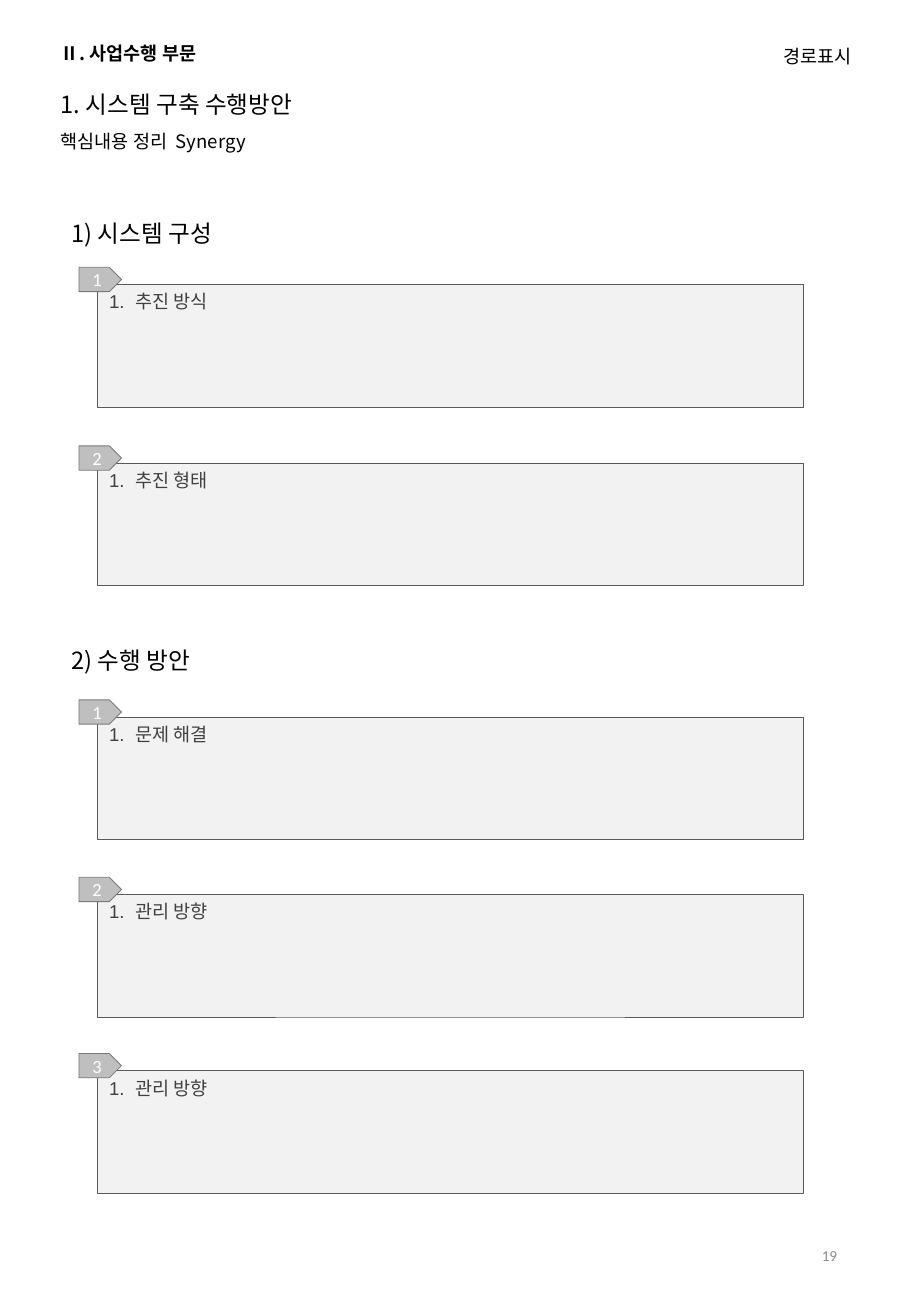
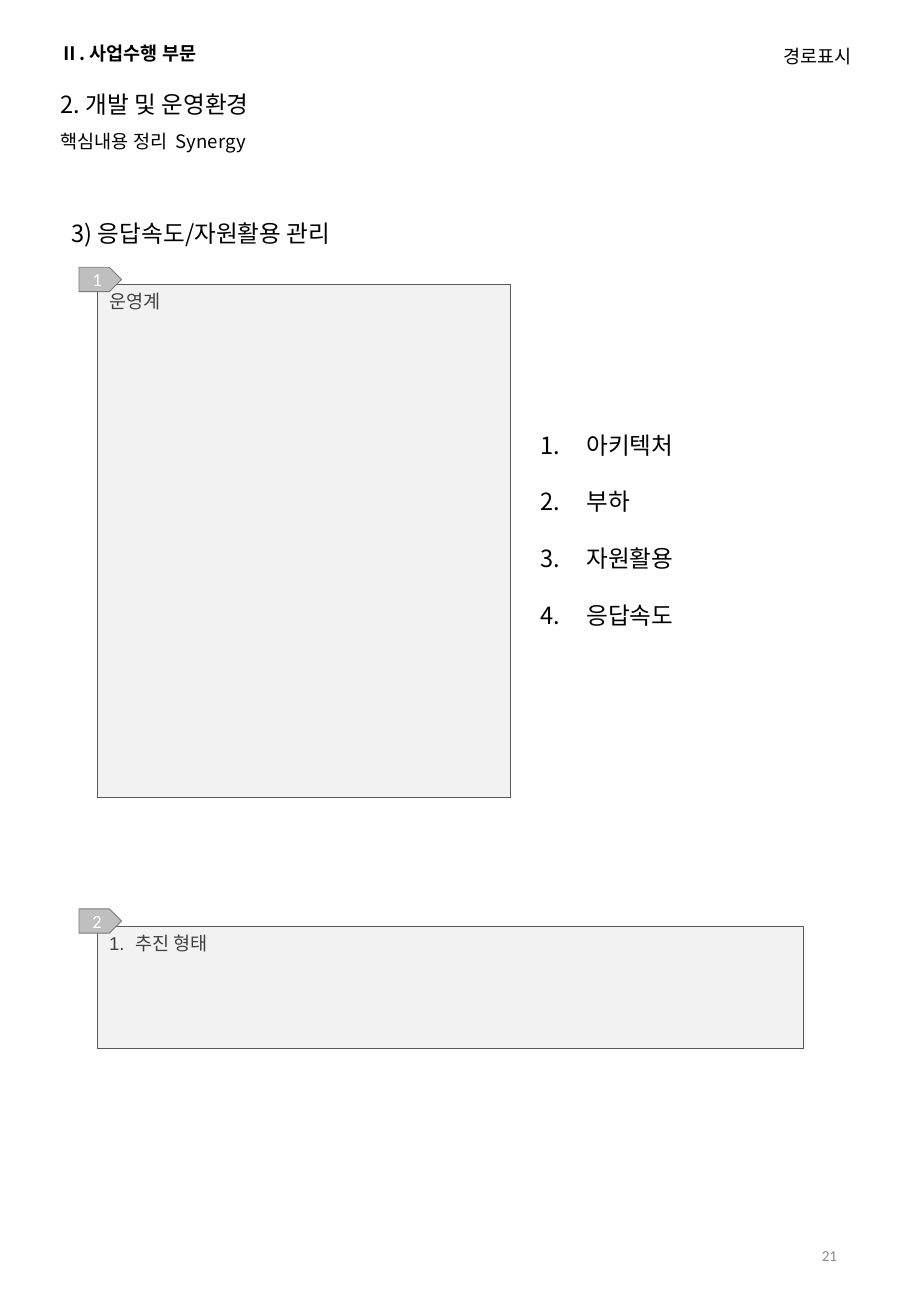
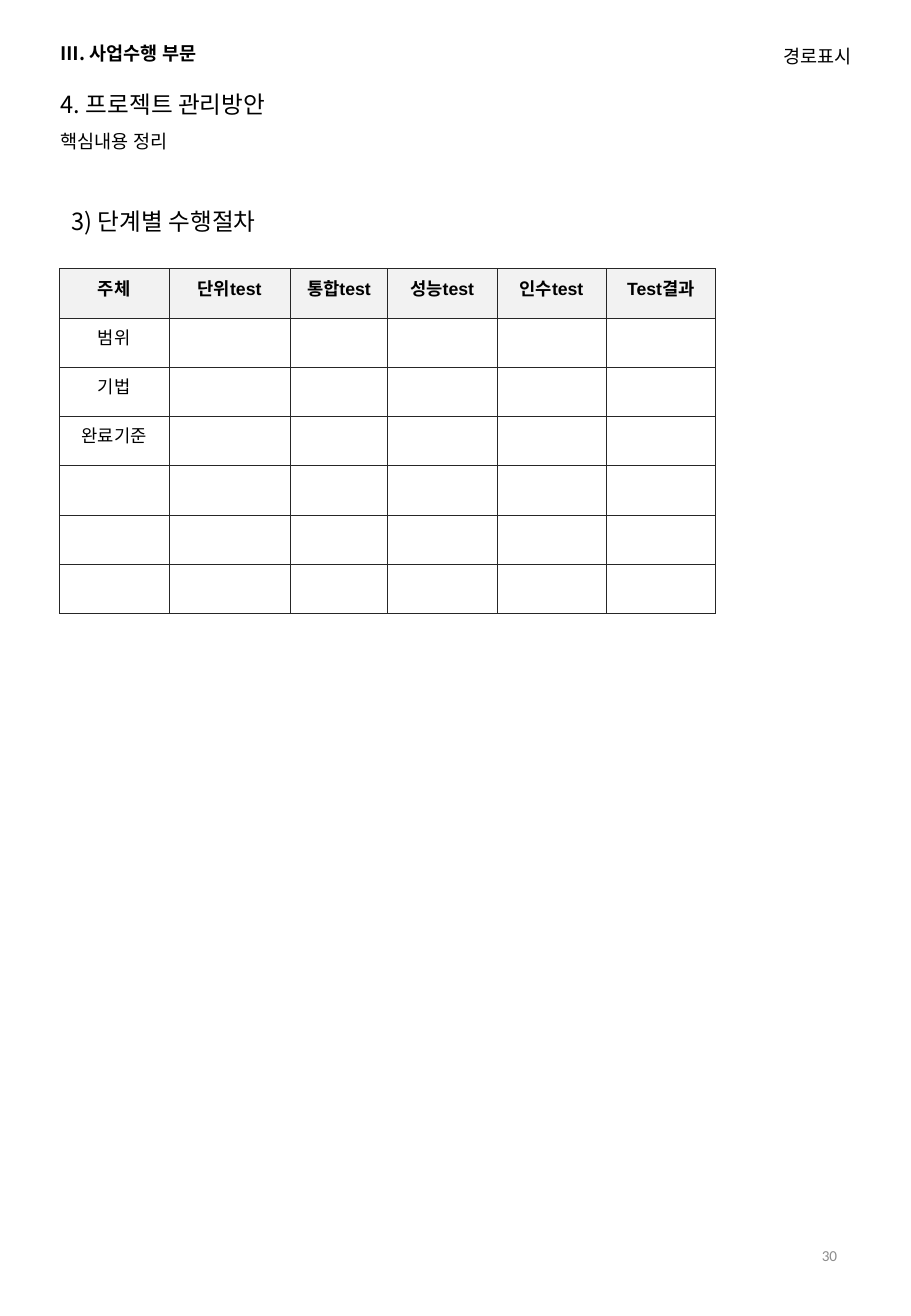
from lxml import etree
from pptx import Presentation
from pptx.dml.color import RGBColor
from pptx.enum.shapes import MSO_SHAPE
from pptx.enum.text import MSO_ANCHOR, PP_ALIGN
from pptx.oxml.ns import qn
from pptx.util import Inches, Pt

BODY_FONT, HEADER_FONT = "Noto Sans CJK KR", "Noto Sans CJK JP"
BOX_FONT, NUMBER_FONT = "Arial", "Calibri"
BLACK, WHITE = "000000", "FFFFFF"
PANEL_FILL, PANEL_LINE, PANEL_TEXT = "F2F2F2", "595959", "404040"
TAG_FILL, TAG_LINE = "BFBFBF", "7A7A7A"
GRID_LINE, PAGE_NUMBER = "262626", "8C8C8C"
WIDE_PANEL = (5.81, 1.01)


def write(box, text, size, font=BODY_FONT, color=BLACK, bold=False,
          align=PP_ALIGN.LEFT, anchor=MSO_ANCHOR.TOP):
    """Put one formatted paragraph per line of text into a shape or cell."""
    frame = box.text_frame
    frame.word_wrap = True
    frame.vertical_anchor = anchor
    for index, line in enumerate(text.split("\n")):
        para = frame.add_paragraph() if index else frame.paragraphs[0]
        para.alignment = align
        span = para.add_run()
        span.text = line
        span.font.name, span.font.size, span.font.bold = font, Pt(size), bold
        span.font.color.rgb = RGBColor.from_string(color)
        east_asian = etree.SubElement(span.font._element, qn("a:ea"))
        east_asian.set("typeface", font if font.startswith("Noto") else BODY_FONT)
    return frame


def add_filled(page, kind, place, fill, line, line_width):
    shape = page.shapes.add_shape(kind, *[Inches(length) for length in place])
    shape.shadow.inherit = False
    shape.fill.solid()
    shape.fill.fore_color.rgb = RGBColor.from_string(fill)
    shape.line.color.rgb = RGBColor.from_string(line)
    shape.line.width = Pt(line_width)
    return shape


# Headings: (top, text). Panels: (top, tag, text, size).
pages = [
    {"section": "Ⅱ. 사업수행 부문", "title": "1. 시스템 구축 수행방안",
     "summary": "핵심내용 정리  Synergy", "number": "19",
     "headings": [(1.75, "1) 시스템 구성"), (5.27, "2) 수행 방안")],
     "panels": [(2.34, "1", "1.  추진 방식", WIDE_PANEL),
                (3.81, "2", "1.  추진 형태", WIDE_PANEL),
                (5.9, "1", "1.  문제 해결", WIDE_PANEL),
                (7.36, "2", "1.  관리 방향", WIDE_PANEL),
                (8.81, "3", "1.  관리 방향", WIDE_PANEL)]},
    {"section": "Ⅱ. 사업수행 부문", "title": "2. 개발 및 운영환경",
     "summary": "핵심내용 정리  Synergy", "number": "21",
     "headings": [(1.75, "3) 응답속도/자원활용 관리")],
     "panels": [(2.34, "1", "운영계", (3.4, 4.22)),
                (7.62, "2", "1.  추진 형태", WIDE_PANEL)]},
    {"section": "Ⅲ. 사업수행 부문", "title": "4. 프로젝트 관리방안",
     "summary": "핵심내용 정리", "number": "30",
     "headings": [(1.65, "3) 단계별 수행절차")], "panels": []},
]

deck = Presentation()
deck.slide_width, deck.slide_height = Inches(7.5), Inches(10.83)
slides = []

for content in pages:
    page = deck.slides.add_slide(deck.slide_layouts[5])
    slides.append(page)
    title = page.shapes.title
    title.left, title.top = Inches(0.4), Inches(0.69)
    title.width, title.height = Inches(6.63), Inches(0.34)
    write(title, content["title"], 14)

    labels = [
        ((0.4, 0.3, 3.42, 0.29), content["section"],
         {"size": 11, "font": HEADER_FONT, "bold": True}),
        ((5.45, 0.32, 1.66, 0.29), "경로표시", {"size": 11, "align": PP_ALIGN.RIGHT}),
        ((0.4, 1.02, 6.63, 0.29), content["summary"], {"size": 11}),
        ((5.3, 10.04, 1.69, 0.58), content["number"],
         {"size": 9, "font": NUMBER_FONT, "color": PAGE_NUMBER,
          "align": PP_ALIGN.RIGHT, "anchor": MSO_ANCHOR.MIDDLE}),
    ]
    for top, heading in content["headings"]:
        labels.append(((0.49, top, 6.12, 0.34), heading, {"size": 14}))
    for place, text, style in labels:
        box = page.shapes.add_textbox(*[Inches(length) for length in place])
        write(box, text, **style)

    for top, number, text, (width, height) in content["panels"]:
        panel = add_filled(page, MSO_SHAPE.RECTANGLE, (0.8, top, width, height),
                           PANEL_FILL, PANEL_LINE, 0.25)
        write(panel, text, 11, BOX_FONT, PANEL_TEXT)
        tag = add_filled(page, MSO_SHAPE.PENTAGON, (0.65, top - 0.14, 0.35, 0.2),
                         TAG_FILL, TAG_LINE, 0.5)
        write(tag, number, 11, NUMBER_FONT, WHITE,
              align=PP_ALIGN.CENTER, anchor=MSO_ANCHOR.MIDDLE)

# Numbered topics beside the tall panel
topics = slides[1].shapes.add_textbox(Inches(4.35), Inches(3.49), Inches(2.34), Inches(1.75))
for para in write(topics, "아키텍처\n부하\n자원활용\n응답속도", 14).paragraphs:
    para.line_spacing = Pt(17)
    para.space_after = Pt(16.6)
    properties = para._p.get_or_add_pPr()
    properties.set("marL", str(Inches(0.38)))
    properties.set("indent", str(-Inches(0.38)))
    etree.SubElement(properties, qn("a:buFont")).set("typeface", BODY_FONT)
    etree.SubElement(properties, qn("a:buAutoNum")).set("type", "arabicPeriod")

# Test procedure table
headers = ["주체", "단위test", "통합test", "성능test", "인수test", "Test결과"]
row_names = ["범위", "기법", "완료기준", "", "", ""]
column_widths = [0.9, 1, 0.8, 0.9, 0.9, 0.9]
rows = [headers] + [[name] + [""] * (len(headers) - 1) for name in row_names]
table = slides[2].shapes.add_table(len(rows), len(headers), Inches(0.49), Inches(2.21),
                                   Inches(5.38), Inches(2.84)).table
table.horz_banding = False
for column, width in zip(table.columns, column_widths):
    column.width = Inches(width)
for row_index, texts in enumerate(rows):
    is_header = row_index == 0
    for column_index, text in enumerate(texts):
        cell = table.cell(row_index, column_index)
        properties = cell._tc.get_or_add_tcPr()
        for side in ("a:lnL", "a:lnR", "a:lnT", "a:lnB"):
            border = etree.SubElement(properties, qn(side), w=str(Pt(0.25)))
            border_fill = etree.SubElement(border, qn("a:solidFill"))
            etree.SubElement(border_fill, qn("a:srgbClr"), val=GRID_LINE)
        cell.fill.solid()
        cell.fill.fore_color.rgb = RGBColor.from_string(PANEL_FILL if is_header else WHITE)
        if text:
            write(cell, text, 10.5, BOX_FONT, bold=is_header,
                  align=PP_ALIGN.CENTER, anchor=MSO_ANCHOR.MIDDLE)

deck.save("out.pptx")
